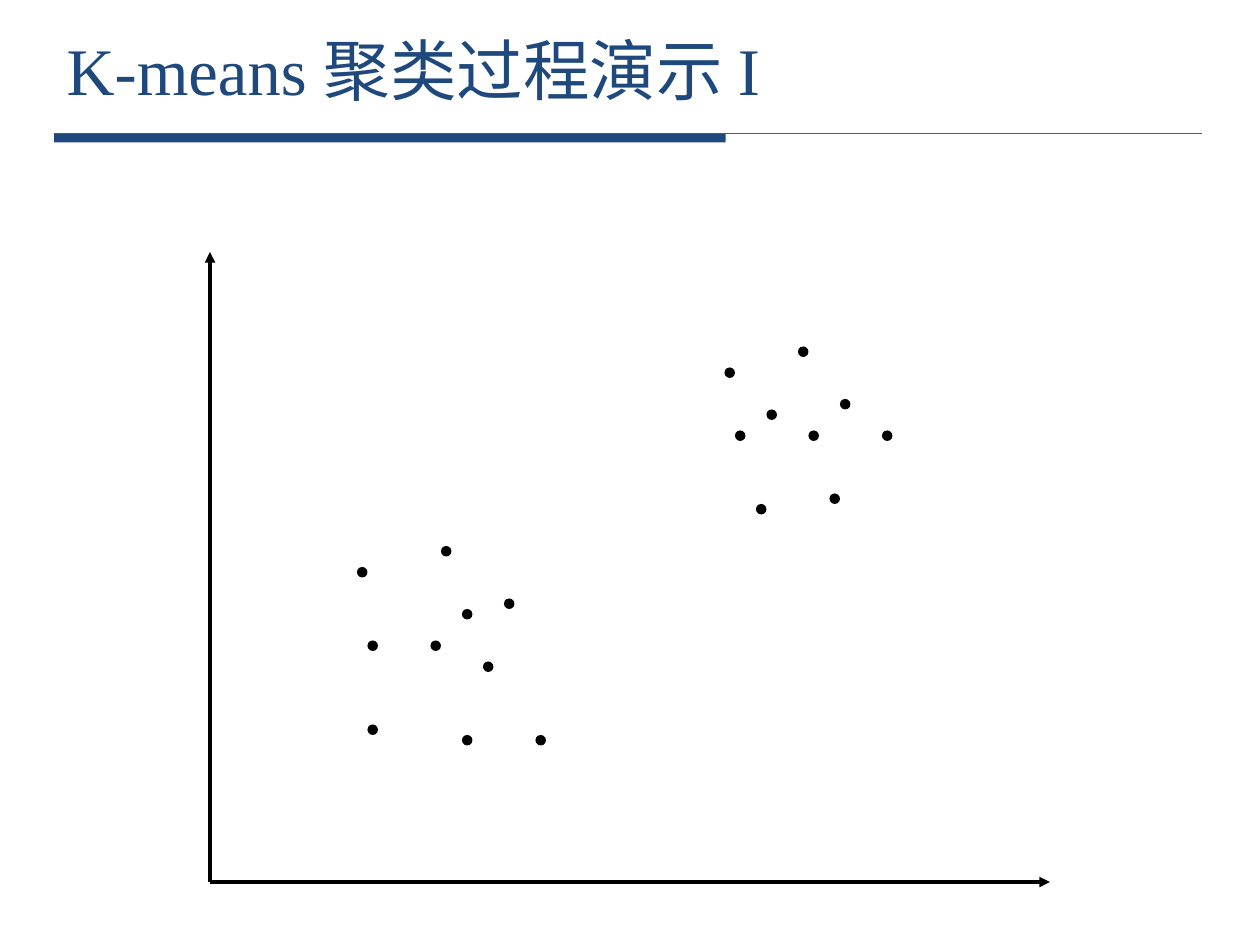
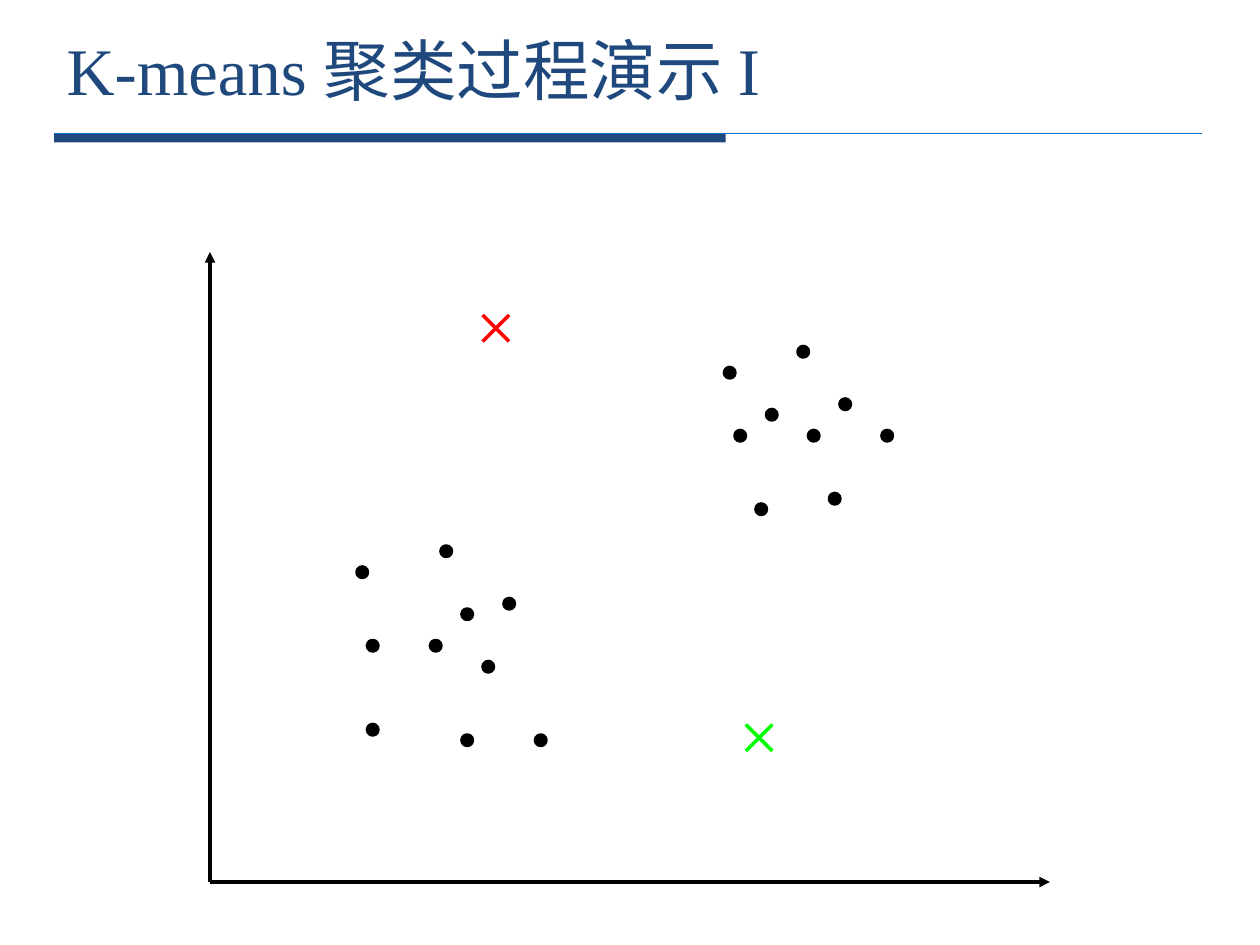
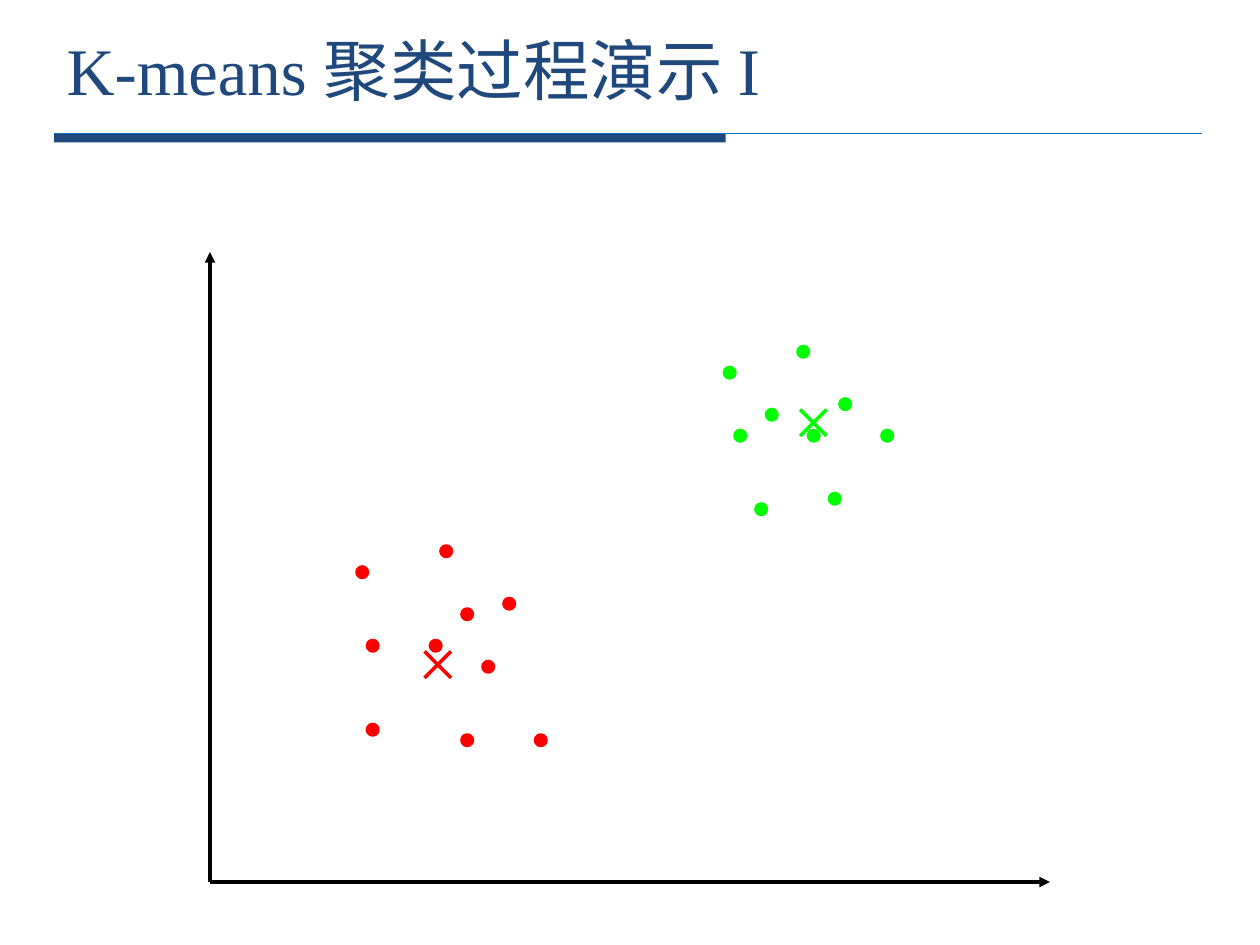
from lxml import etree
from pptx import Presentation
from pptx.dml.color import RGBColor
from pptx.enum.shapes import MSO_CONNECTOR, MSO_SHAPE
from pptx.enum.text import MSO_ANCHOR
from pptx.oxml.ns import qn
from pptx.util import Inches, Pt

STRAIGHT = MSO_CONNECTOR.STRAIGHT
OVAL = MSO_SHAPE.OVAL
RECTANGLE = MSO_SHAPE.RECTANGLE
MIDDLE = MSO_ANCHOR.MIDDLE

BLACK, RED, GREEN = "000000", "FF0000", "00FF00"
NAVY, BLUE = "1F497D", "0070C0"
TITLE = "K-means 聚类过程演示 I"

# Dots and axes sit on a grid of twelve units to the inch.
GRID = 12
ORIGIN, X_END, Y_END = (20, 84), (100, 84), (20, 24)
UPPER_CLUSTER = [(69, 35), (70, 41), (73, 39), (76, 33), (80, 38),
                 (77, 41), (72, 48), (79, 47), (84, 41)]
LOWER_CLUSTER = [(42, 52), (48, 57), (46, 63), (44, 58), (34, 54),
                 (35, 61), (41, 61), (44, 70), (35, 69), (51, 70)]
CROSS_SIZE = 0.21

# Each step: upper colour, lower colour, dot outline in points,
# and the centroid crosses as (left, top, colour) in inches.
STEPS = [
    (BLACK, BLACK, 0, []),
    (BLACK, BLACK, 2, [(3.83, 2.5, RED), (5.92, 5.75, GREEN)]),
    (GREEN, RED, 2, [(3.37, 5.17, RED), (6.35, 3.25, GREEN)]),
]


def rgb(value):
    return RGBColor.from_string(value)


def on_grid(point):
    """Turn grid units into inches."""
    return tuple(units / GRID for units in point)


class Deck:
    font = "Times New Roman"

    def __init__(self):
        self.prs = Presentation()
        self.prs.slide_width, self.prs.slide_height = Inches(10), Inches(7.5)
        self.slide = None

    def new_slide(self, title):
        self.slide = self.prs.slides.add_slide(self.prs.slide_layouts[6])
        self.shape(RECTANGLE, 0.43, 1.06, 5.33, 0.07, NAVY)
        self.line(self.slide.shapes, (0.43, 1.06), (9.54, 1.06), BLUE, 0.75)
        self.text(title, 0.43, 0.13, 8.95, 0.84, size=38, color=NAVY)

    def text(self, content, left, top, width, height, *, size, color, anchor=MIDDLE):
        box = self.slide.shapes.add_textbox(
            Inches(left), Inches(top), Inches(width), Inches(height))
        frame = box.text_frame
        frame.word_wrap = True
        frame.vertical_anchor = anchor
        run = frame.paragraphs[0].add_run()
        run.text = content
        run.font.name = self.font
        run.font.size = Pt(size)
        run.font.color.rgb = rgb(color)

    def shape(self, preset, left, top, width, height, color, outline=0):
        shape = self.slide.shapes.add_shape(
            preset, Inches(left), Inches(top), Inches(width), Inches(height))
        shape.shadow.inherit = False
        shape.fill.solid()
        shape.fill.fore_color.rgb = rgb(color)
        if outline:
            shape.line.color.rgb = rgb(color)
            shape.line.width = Pt(outline)
        else:
            shape.line.fill.background()

    def line(self, shapes, start, end, color, width, arrow=False):
        """Draw a line into a slide's or a group's shapes."""
        connector = shapes.add_connector(
            STRAIGHT, *(Inches(value) for value in (*start, *end)))
        connector.line.color.rgb = rgb(color)
        connector.line.width = Pt(width)
        properties = connector._element.spPr
        if arrow:
            etree.SubElement(properties.find(qn("a:ln")), qn("a:tailEnd"), type="triangle")
        etree.SubElement(properties, qn("a:effectLst"))

    def axes(self):
        group = self.slide.shapes.add_group_shape()
        for tip in (X_END, Y_END):
            self.line(group.shapes, on_grid(ORIGIN), on_grid(tip), BLACK, 2, arrow=True)

    def dots(self, cluster, color, outline):
        for point in cluster:
            self.shape(OVAL, *on_grid(point), 1 / GRID, 1 / GRID, color, outline)

    def cross(self, left, top, color):
        right, bottom = left + CROSS_SIZE, top + CROSS_SIZE
        group = self.slide.shapes.add_group_shape()
        self.line(group.shapes, (left, top), (right, bottom), color, 2)
        self.line(group.shapes, (left, bottom), (right, top), color, 2)


def main():
    deck = Deck()
    for upper_color, lower_color, outline, centroids in STEPS:
        deck.new_slide(TITLE)
        deck.axes()
        deck.dots(UPPER_CLUSTER, upper_color, outline)
        deck.dots(LOWER_CLUSTER, lower_color, outline)
        for centroid in centroids:
            deck.cross(*centroid)
    deck.prs.save("out.pptx")


if __name__ == "__main__":
    main()
